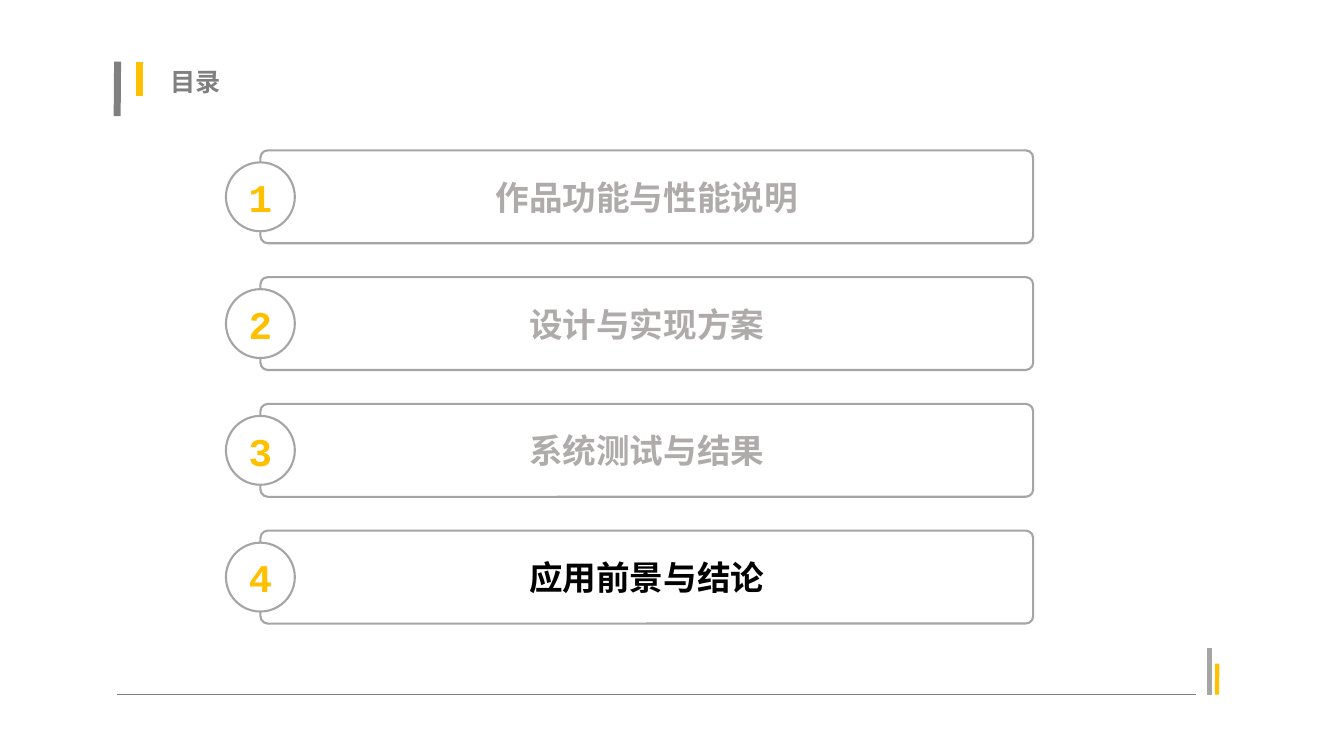
import pptx
import pptx.util
import pptx.dml.color
import pptx.enum.shapes
import pptx.enum.text
import pptx.oxml
import pptx.oxml.ns

Pt = pptx.util.Pt
Shape = pptx.enum.shapes.MSO_SHAPE
Anchor = pptx.enum.text.MSO_ANCHOR
Align = pptx.enum.text.PP_ALIGN

SANS = "Noto Sans CJK SC"
MONO = "Courier New"
GOLD, GREY, DARK, PALE = "FFC000", "A5A5A5", "808080", "AFABAB"
WHITE, BLACK = "FFFFFF", "000000"

TITLE = "目录"
ITEMS = [
    ("作品功能与性能说明", PALE),
    ("设计与实现方案", PALE),
    ("系统测试与结果", PALE),
    ("应用前景与结论", BLACK),
]
LINES = [
    (864, 496.5, 864, 463, GREY, 3),
    (869.3, 496.1, 869.5, 474, GOLD, 3),
    (83.7, 496.3, 854, 496.3, DARK, 0.5),
    (83.7, 83, 84, 44, DARK, 5),
    (99.4, 68.5, 99.4, 44, GOLD, 5),
]
LEFT, TOP, WIDTH, HEIGHT, PITCH = 186, 107.4, 552, 66.4, 90.55
DISC = 49.2


def color(code):
    return pptx.dml.color.RGBColor.from_string(code)


def write(frame, text, face, size, code, align):
    frame.text = text
    para = frame.paragraphs[0]
    para.alignment = align
    font = para.font
    font.name, font.size, font.bold = face, Pt(size), True
    font.color.rgb = color(code)
    props = para._p.pPr.find(pptx.oxml.ns.qn("a:defRPr"))
    east = pptx.oxml.parse_xml(f'<a:ea {pptx.oxml.ns.nsdecls("a")} typeface="{face}"/>')
    props.append(east)


def add_line(slide, x1, y1, x2, y2, code, width):
    line = slide.shapes.add_connector(
        pptx.enum.shapes.MSO_CONNECTOR.STRAIGHT, Pt(x1), Pt(y1), Pt(x2), Pt(y2))
    line.line.color.rgb = color(code)
    line.line.width = Pt(width)
    flat = pptx.oxml.parse_xml(f'<a:effectLst {pptx.oxml.ns.nsdecls("a")}/>')
    line._element.spPr.append(flat)


def add_box(slide, kind, x, y, width, height, text, face, size, code):
    box = slide.shapes.add_shape(kind, Pt(x), Pt(y), Pt(width), Pt(height))
    box.shadow.inherit = False
    box.line.color.rgb = color(GREY)
    box.line.width = Pt(1.5)
    frame = box.text_frame
    frame.word_wrap = False
    frame.vertical_anchor = Anchor.MIDDLE
    write(frame, text, face, size, code, Align.CENTER)
    return box


def main():
    deck = pptx.Presentation()
    deck.slide_width, deck.slide_height = Pt(960), Pt(540)
    slide = deck.slides.add_slide(deck.slide_layouts[5])

    title = slide.shapes.title
    title.left, title.top, title.width, title.height = Pt(114.5), Pt(44), Pt(475), Pt(29)
    frame = title.text_frame
    frame.auto_size = pptx.enum.text.MSO_AUTO_SIZE.NONE
    frame.vertical_anchor = Anchor.TOP
    write(frame, TITLE, SANS, 18, DARK, Align.LEFT)

    for line in LINES:
        add_line(slide, *line)

    for row, (text, code) in enumerate(ITEMS):
        top = TOP + row * PITCH
        bar = add_box(slide, Shape.ROUNDED_RECTANGLE, LEFT, top, WIDTH, HEIGHT,
                      text, SANS, 24, code)
        bar.adjustments[0] = 0.08
        bar.fill.background()
        disc = add_box(slide, Shape.OVAL, LEFT - DISC / 2, top + (HEIGHT - DISC) / 2,
                       DISC, DISC, str(row + 1), MONO, 28, GOLD)
        disc.fill.solid()
        disc.fill.fore_color.rgb = color(WHITE)

    deck.save("out.pptx")


if __name__ == "__main__":
    main()
